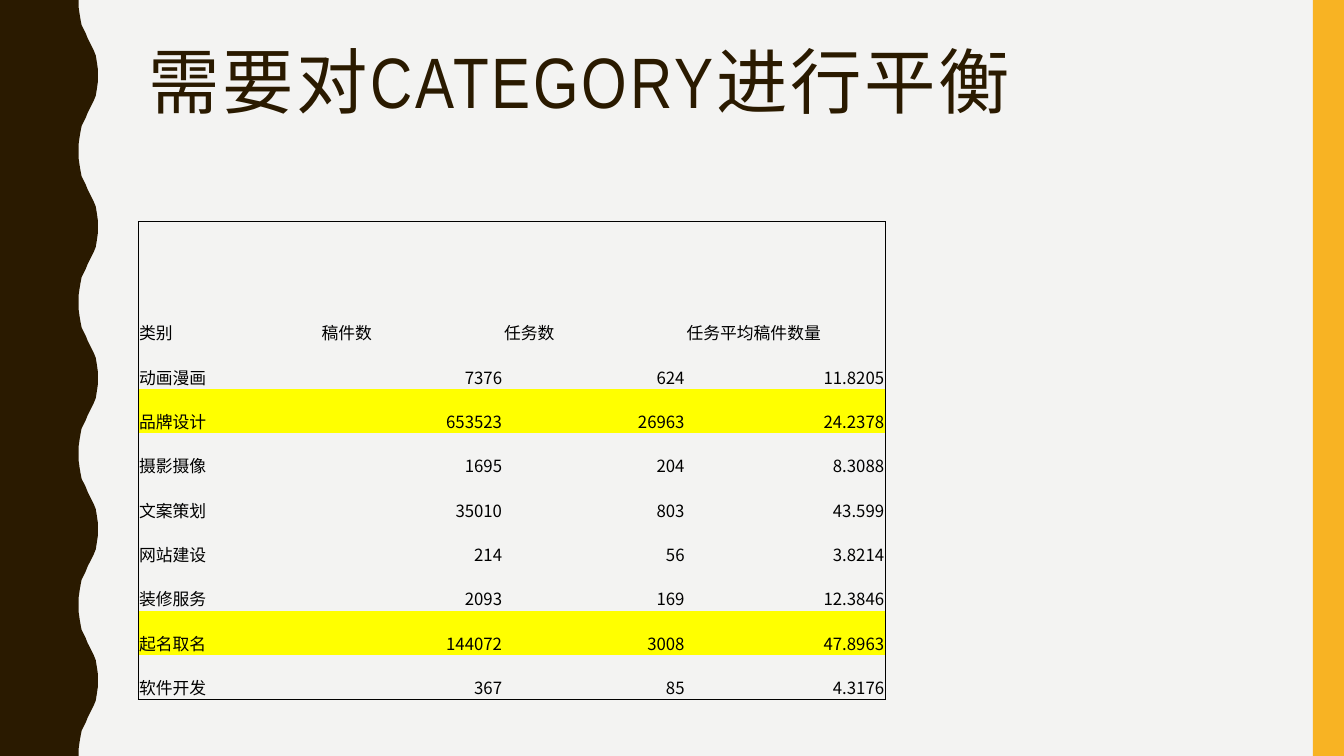
import pptx
import pptx.util
import pptx.dml.color
import pptx.enum.shapes
import pptx.enum.text
import pptx.oxml
import pptx.oxml.ns
from pptx.util import Inches

CJK_FONT = "Noto Sans CJK SC"


def paint(color_format, hex_color):
    color_format.rgb = pptx.dml.color.RGBColor.from_string(hex_color)


def style_run(run, size, latin_font, hex_color):
    run.font.size = pptx.util.Pt(size)
    run.font.name = latin_font
    paint(run.font.color, hex_color)
    east_asian = pptx.oxml.parse_xml(
        f'<a:ea {pptx.oxml.ns.nsdecls("a")} typeface="{CJK_FONT}"/>')
    run.font._element.append(east_asian)


deck = pptx.Presentation()
deck.slide_width = Inches(13.33)
deck.slide_height = Inches(7.5)
slide = deck.slides.add_slide(deck.slide_layouts[6])
slide.background.fill.solid()
paint(slide.background.fill.fore_color, "F3F3F2")

half_wave = [(0.78, 0), (0.78, 0.07), (0.79, 0.14), (0.8, 0.2), (0.81, 0.25),
             (0.83, 0.29), (0.85, 0.33), (0.87, 0.38), (0.89, 0.42), (0.91, 0.46),
             (0.93, 0.5), (0.95, 0.55), (0.96, 0.61), (0.97, 0.68), (0.97, 0.75)]
wave_length = 1.5
wave = half_wave + [(x, wave_length - y) for x, y in half_wave[-2::-1]]
edge = [(Inches(x), Inches(y + i * wave_length)) for i in range(5) for x, y in wave]
outline = slide.shapes.build_freeform(0, 0)
outline.add_line_segments(edge + [(0, Inches(7.5))], close=True)
wavy_band = outline.convert_to_shape()
right_band = slide.shapes.add_shape(
    pptx.enum.shapes.MSO_SHAPE.RECTANGLE, Inches(13.02), 0, Inches(0.31), Inches(7.5))
for band, color in ((wavy_band, "2A1A00"), (right_band, "F8B323")):
    band.shadow.inherit = False
    band.fill.solid()
    paint(band.fill.fore_color, color)
    band.line.fill.background()

title = slide.shapes.add_textbox(Inches(1.37), Inches(0.42), Inches(11.13), Inches(1.63))
title.text_frame.word_wrap = True
title.text_frame.text = "需要对CATEGORY进行平衡"
heading = title.text_frame.paragraphs[0]
heading.line_spacing = 0.9
style_run(heading.runs[0], 51, "Arial Narrow", "2A1A00")
heading.runs[0].font._element.set("spc", "200")

records = [
    ("类别", "稿件数", "任务数", "任务平均稿件数量"),
    ("动画漫画", "7376", "624", "11.8205"),
    ("品牌设计", "653523", "26963", "24.2378"),
    ("摄影摄像", "1695", "204", "8.3088"),
    ("文案策划", "35010", "803", "43.599"),
    ("网站建设", "214", "56", "3.8214"),
    ("装修服务", "2093", "169", "12.3846"),
    ("起名取名", "144072", "3008", "47.8963"),
    ("软件开发", "367", "85", "4.3176"),
]
highlighted = {"品牌设计", "起名取名"}
last_row, last_col = len(records) - 1, len(records[0]) - 1

categories = slide.shapes.add_table(
    len(records), len(records[0]), Inches(1.37), Inches(2.2), Inches(7.4), Inches(4.71)).table
categories.first_row = False
categories.horz_banding = False
for column, width in zip(categories.columns, (1.81, 1.81, 1.81, 1.98)):
    column.width = Inches(width)
for r, row in enumerate(categories.rows):
    row.height = Inches(0.44 if r else 1.22)

for r, record in enumerate(records):
    for c, value in enumerate(record):
        cell = categories.cell(r, c)
        cell.margin_left = cell.margin_right = cell.margin_top = Inches(0.01)
        cell.margin_bottom = 0
        cell.vertical_anchor = pptx.enum.text.MSO_ANCHOR.BOTTOM
        cell.text_frame.text = value
        paragraph = cell.text_frame.paragraphs[0]
        if r and c:
            paragraph.alignment = pptx.enum.text.PP_ALIGN.RIGHT
        style_run(paragraph.runs[0], 12, CJK_FONT, "000000")
        if record[0] in highlighted:
            cell.fill.solid()
            paint(cell.fill.fore_color, "FFFF00")
        else:
            cell.fill.background()
        outer_sides = {"L": c == 0, "R": c == last_col, "T": r == 0, "B": r == last_row}
        for position, (side, is_outer) in enumerate(outer_sides.items()):
            stroke = '<a:solidFill><a:srgbClr val="000000"/></a:solidFill>' if is_outer else "<a:noFill/>"
            border = pptx.oxml.parse_xml(
                f'<a:ln{side} {pptx.oxml.ns.nsdecls("a")} w="6350">{stroke}</a:ln{side}>')
            cell._tc.get_or_add_tcPr().insert(position, border)

deck.save("out.pptx")
